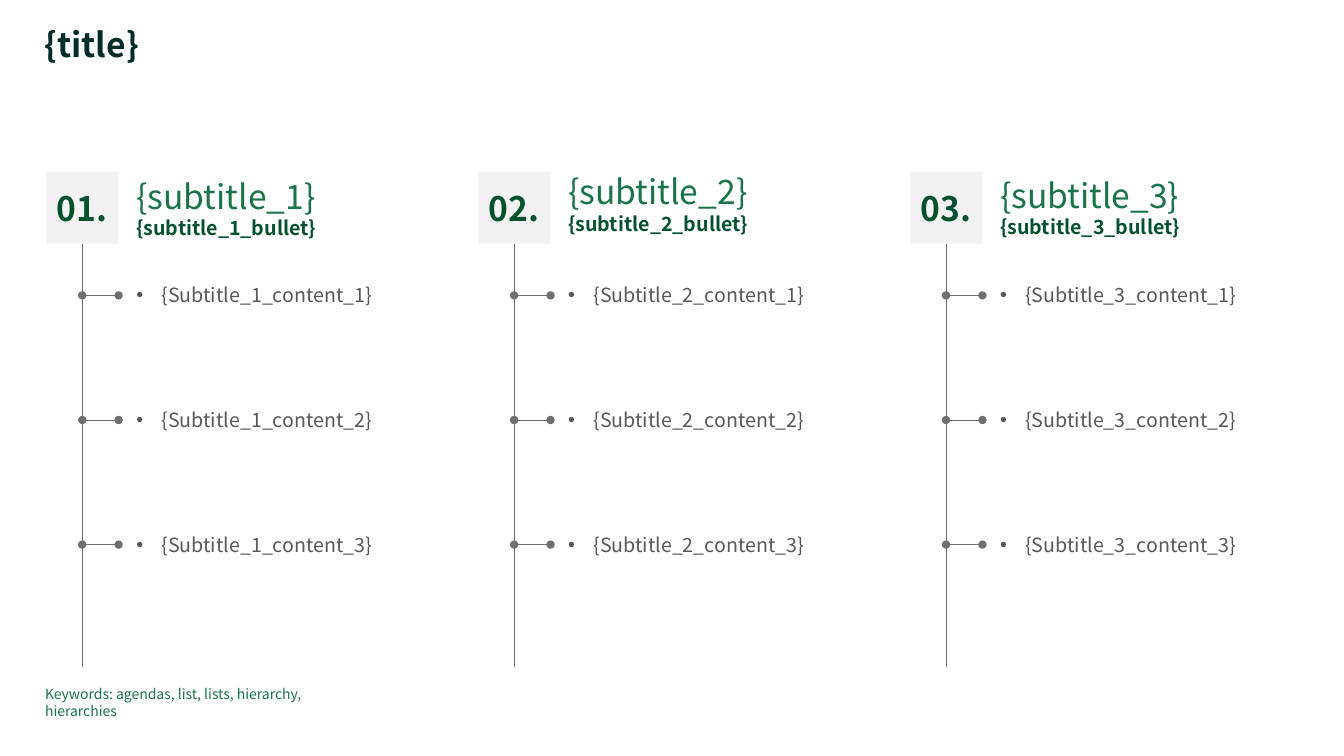
import pptx
import pptx.dml.color
import pptx.enum.shapes
import pptx.enum.text
import pptx.oxml
import pptx.oxml.ns
import pptx.util

Pt = pptx.util.Pt
ANCHOR = pptx.enum.text.MSO_ANCHOR
ALIGN = pptx.enum.text.PP_ALIGN
FONT = "Noto Sans CJK JP"
COLORS = {
    "title": "002D28",
    "subtitle": "1A7449",
    "strong": "03522D",
    "content": "575757",
    "badge": "F2F2F2",
    "line": "6E6F73",
}
BADGE_LEFT, BADGE_TOP, BADGE_SIDE = 33, 122.5, 51.5
COLUMN_PITCH = 308.5
HEADING_TOPS = [125.3, 122.4, 124.6]
FIRST_BRANCH, BRANCH_PITCH, BRANCH_LENGTH = 211, 89, 26
TRUNK_BOTTOM = 476.6
TEXT_OFFSET = 64.4
TEXT_WIDTH = 216


def rgb(name):
    return pptx.dml.color.RGBColor.from_string(COLORS[name])


def append_xml(parent, tag, **attributes):
    element = pptx.oxml.parse_xml(f"<{tag} {pptx.oxml.ns.nsdecls('a')}/>")
    for key, value in attributes.items():
        element.set(key, value)
    parent.append(element)


def setup_frame(frame, anchor=ANCHOR.TOP, wrap=True, margin_x=0, margin_y=0):
    frame.margin_left = frame.margin_right = Pt(margin_x)
    frame.margin_top = frame.margin_bottom = Pt(margin_y)
    frame.vertical_anchor = anchor
    frame.word_wrap = wrap


def write_text(frame, text, size, color, bold=False, align=ALIGN.LEFT,
               spacing=None, bullet=False):
    paragraph = frame.paragraphs[0]
    if paragraph.text:
        paragraph = frame.add_paragraph()
    paragraph.text = text
    paragraph.alignment = align
    paragraph.line_spacing = spacing
    if bullet:
        properties = paragraph._p.get_or_add_pPr()
        properties.set("marL", str(Pt(18)))
        properties.set("indent", str(-Pt(18)))
        append_xml(properties, "a:buFont", typeface="Arial")
        append_xml(properties, "a:buChar", char="•")
    font = paragraph.runs[0].font
    font.name = FONT
    font.size = Pt(size)
    font.bold = bold
    font.color.rgb = rgb(color)


def add_text_box(slide, left, top, width, height):
    box = slide.shapes.add_textbox(Pt(left), Pt(top), Pt(width), Pt(height))
    setup_frame(box.text_frame)
    box.text_frame.auto_size = pptx.enum.text.MSO_AUTO_SIZE.SHAPE_TO_FIT_TEXT
    return box.text_frame


def add_title(slide, text):
    title = slide.shapes.title
    title.left, title.top = Pt(32), Pt(20.2)
    title.width, title.height = Pt(794), Pt(26.6)
    setup_frame(title.text_frame)
    title.text_frame.auto_size = pptx.enum.text.MSO_AUTO_SIZE.SHAPE_TO_FIT_TEXT
    write_text(title.text_frame, text, 24, "title", bold=True, spacing=0.9)


def add_badge(slide, left, text):
    badge = slide.shapes.add_shape(
        pptx.enum.shapes.MSO_SHAPE.RECTANGLE,
        Pt(left), Pt(BADGE_TOP), Pt(BADGE_SIDE), Pt(BADGE_SIDE))
    badge.shadow.inherit = False
    badge.fill.solid()
    badge.fill.fore_color.rgb = rgb("badge")
    badge.line.fill.background()
    setup_frame(badge.text_frame, ANCHOR.MIDDLE, wrap=False,
                margin_x=14.4, margin_y=11.5)
    write_text(badge.text_frame, text, 24, "strong", bold=True,
               align=ALIGN.CENTER)
    return badge


def add_line(slide, start, end, dots=False):
    line = slide.shapes.add_connector(
        pptx.enum.shapes.MSO_CONNECTOR.STRAIGHT,
        *[Pt(value) for value in (*start, *end)])
    line.line.color.rgb = rgb("line")
    line.line.width = Pt(0.5)
    if dots:
        outline = line.line._get_or_add_ln()
        append_xml(outline, "a:headEnd", type="oval")
        append_xml(outline, "a:tailEnd", type="oval")
    append_xml(line._element.spPr, "a:effectLst")
    return line


def add_column(slide, number):
    left = BADGE_LEFT + (number - 1) * COLUMN_PITCH
    trunk_x = left + BADGE_SIDE / 2
    text_left = left + TEXT_OFFSET

    badge = add_badge(slide, left, f"{number:02d}.")
    trunk = add_line(slide, (trunk_x, BADGE_TOP + BADGE_SIDE),
                     (trunk_x, TRUNK_BOTTOM))
    trunk.begin_connect(badge, 2)

    heading = add_text_box(slide, text_left, HEADING_TOPS[number - 1],
                           TEXT_WIDTH, 46)
    write_text(heading, f"{{subtitle_{number}}}", 24, "subtitle")
    write_text(heading, f"{{subtitle_{number}_bullet}}", 14, "strong", bold=True)

    for row in range(3):
        y = FIRST_BRANCH + row * BRANCH_PITCH
        add_line(slide, (trunk_x, y), (trunk_x + BRANCH_LENGTH, y), dots=True)
        content = add_text_box(slide, text_left, y - 8.6, TEXT_WIDTH, 17)
        write_text(content, f"{{Subtitle_{number}_content_{row + 1}}}", 14,
                   "content", bullet=True)


def main():
    deck = pptx.Presentation()
    deck.slide_width, deck.slide_height = Pt(960), Pt(540)
    slide = deck.slides.add_slide(deck.slide_layouts[5])
    add_title(slide, "{title}")
    for number in range(1, 4):
        add_column(slide, number)
    keywords = add_text_box(slide, 32.2, 489.6, 230, 12)
    write_text(keywords, "Keywords: agendas, list, lists, hierarchy, hierarchies",
               10, "subtitle")
    deck.save("out.pptx")


if __name__ == "__main__":
    main()
